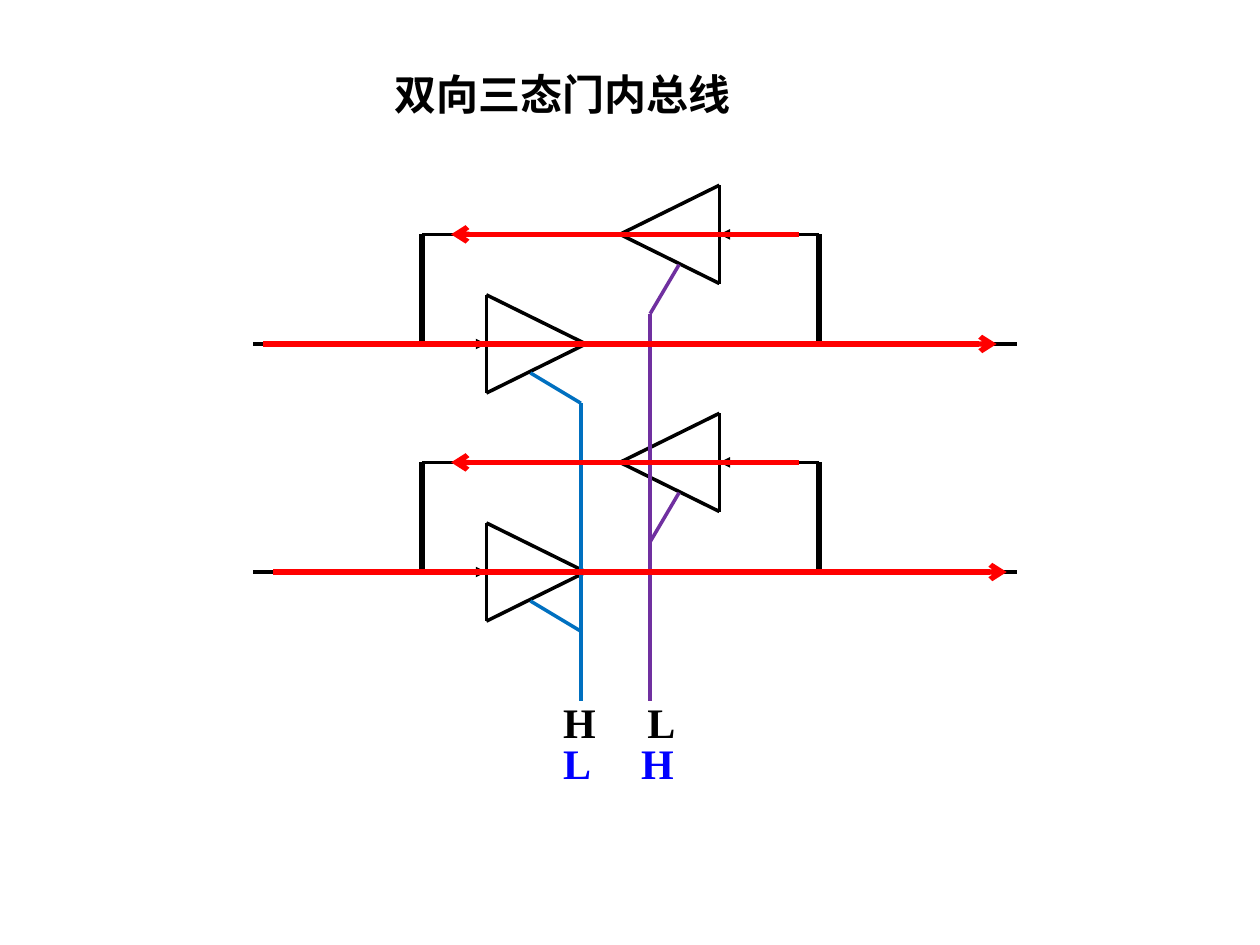
from typing import NamedTuple

from lxml.etree import SubElement
from pptx import Presentation
from pptx.dml.color import RGBColor
from pptx.enum.shapes import MSO_CONNECTOR
from pptx.enum.text import MSO_ANCHOR, MSO_AUTO_SIZE, PP_ALIGN
from pptx.oxml.ns import qn
from pptx.util import Inches, Pt

BLACK, RED, BLUE, PURPLE = "000000", "FF0000", "0070C0", "7030A0"
PITCH = 1.81                # from one bus line to the next
LOW, HIGH = 2.73, 1.86      # forward and return paths of the first line
HALF = 0.39                 # half the height of a gate
LEFT, RIGHT = 3.35, 6.5     # where the return path joins the line
END = 5.56                  # foot of the control lines


class Wire(NamedTuple):
    x1: float
    y1: float
    x2: float
    y2: float
    color: str = BLACK
    width: float = 2
    head: str = ""
    tail: str = ""


class Label(NamedTuple):
    top: float
    text: str
    tab: float
    color: str


def paint(target, color: str) -> None:
    target.rgb = RGBColor.from_string(color)


def draw(shapes, wire: Wire) -> None:
    ends = [Inches(v) for v in wire[:4]]
    item = shapes.add_connector(MSO_CONNECTOR.STRAIGHT, *ends)
    item.line.width = Pt(wire.width)
    paint(item.line.color, wire.color)
    props = item.line._get_or_add_ln()
    for tag, kind in (("a:headEnd", wire.head), ("a:tailEnd", wire.tail)):
        if kind:
            SubElement(props, qn(tag), type=kind)
    SubElement(item._element.spPr, qn("a:effectLst"))


def gate(base: float, tip: float, mid: float) -> list[Wire]:
    """Triangle with an upright base, pointing to tip."""
    top, foot = mid - HALF, mid + HALF
    return [Wire(base, top, base, foot), Wire(base, top, tip, mid),
            Wire(tip, mid, base, foot)]


def stage(drop: float) -> list[Wire]:
    """One two-way line: a forward gate and a return gate."""
    low, high = LOW + drop, HIGH + drop
    return [
        *gate(3.86, 4.65, low),
        Wire(2.01, low, 3.86, low, tail="triangle"),
        Wire(4.65, low, 8.07, low),
        *gate(5.71, 4.92, high),
        Wire(LEFT, high, 4.92, high),
        Wire(5.71, high, RIGHT, high, head="triangle"),
        *(Wire(x, high, x, low, width=3) for x in (LEFT, RIGHT)),
    ]


def control(x: float, y: float, bus: float, join: float,
            color: str) -> list[Wire]:
    """Upright control line with a branch to each gate."""
    taps = [Wire(x, y + d, bus, join + d, color) for d in (0, PITCH)]
    return [Wire(bus, join, bus, END, color), *taps]


def flow(drop: float, shift: float) -> list[Wire]:
    """Red signal paths of one line, forward and back."""
    low, high = LOW + drop, HIGH + drop
    return [Wire(2.09 + shift, low, 7.91 + shift, low, RED, 3, tail="arrow"),
            Wire(6.34, high, 3.58, high, RED, 3, tail="arrow")]


def place(shape, left: float, top: float, width: float, height: float) -> None:
    spots = dict(left=left, top=top, width=width, height=height)
    for name, value in spots.items():
        setattr(shape, name, Inches(value))


def write(shape, text: str, face: str, color: str, tab: float = 0) -> None:
    frame = shape.text_frame
    form = dict(word_wrap=True, auto_size=MSO_AUTO_SIZE.NONE,
                vertical_anchor=MSO_ANCHOR.MIDDLE,
                margin_left=Inches(0.1), margin_right=Inches(0.1),
                margin_top=Inches(0.05), margin_bottom=Inches(0.05))
    for name, value in form.items():
        setattr(frame, name, value)
    para = frame.paragraphs[0]
    para.alignment = PP_ALIGN.LEFT
    if tab:
        stops = SubElement(para._p.get_or_add_pPr(), qn("a:tabLst"))
        SubElement(stops, qn("a:tab"), pos=str(Inches(tab)), algn="l")
    run = para.add_run()
    run.text = text
    for name, value in dict(name=face, size=Pt(24), bold=True).items():
        setattr(run.font, name, value)
    paint(run.font.color, color)
    SubElement(run._r.get_or_add_rPr(), qn("a:ea"), typeface=face)


def main() -> None:
    deck = Presentation()
    deck.slide_width, deck.slide_height = Inches(10), Inches(7.5)
    slide = deck.slides.add_slide(deck.slide_layouts[5])
    shapes = slide.shapes

    place(shapes.title, 3.03, 0.49, 3.39, 0.5)
    write(shapes.title, "双向三态门内总线", "Noto Sans CJK SC", BLACK)

    wires = [
        *stage(0), *stage(PITCH),
        *control(4.21, 2.96, 4.61, 3.2, BLUE),
        *control(5.39, 2.1, 5.16, 2.49, PURPLE),
        *flow(0, 0), *flow(PITCH, 0.08),
    ]
    for wire in wires:
        draw(shapes, wire)

    labels = [Label(5.8, "L\tH", 0.62, "0000FF"),
              Label(5.48, "H\tL", 0.67, BLACK)]
    for label in labels:
        box = shapes.add_textbox(0, 0, 0, 0)
        place(box, 4.37, label.top, 1.11, 0.5)
        write(box, label.text, "Times New Roman", label.color, label.tab)

    deck.save("out.pptx")


if __name__ == "__main__":
    main()
